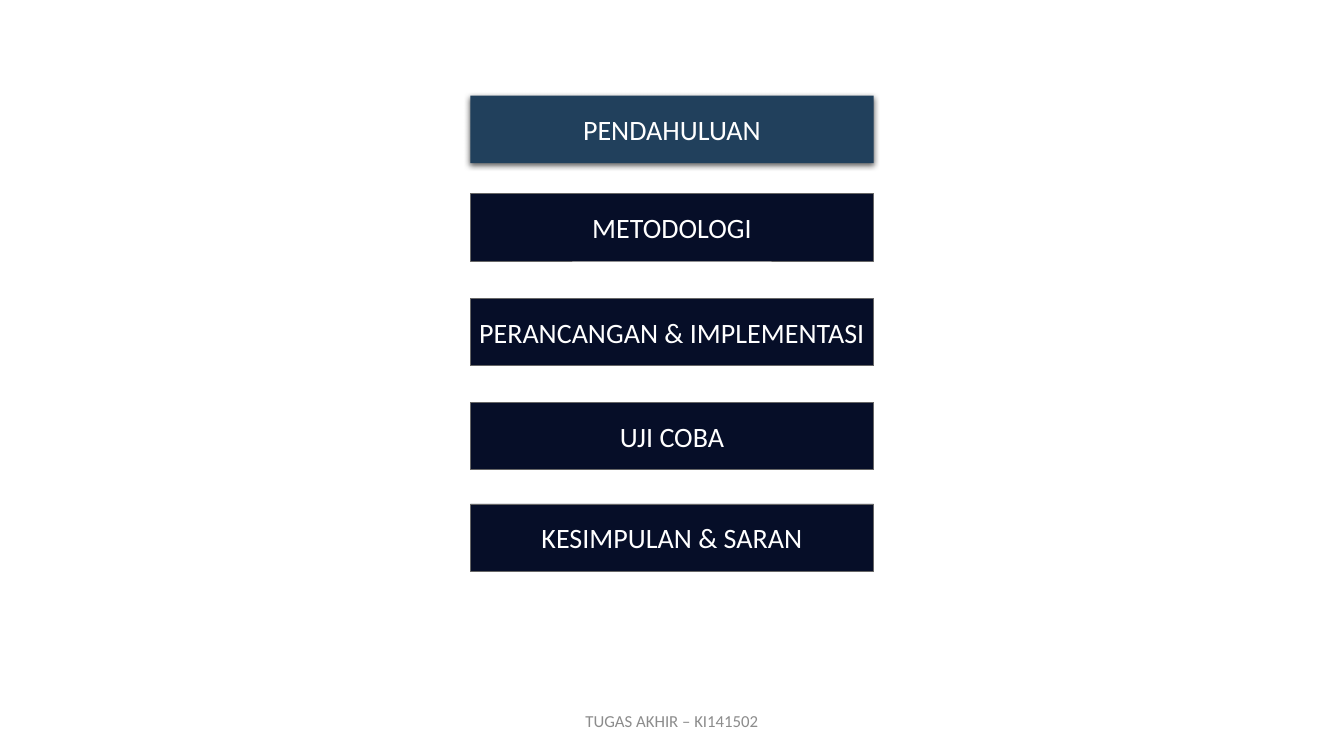
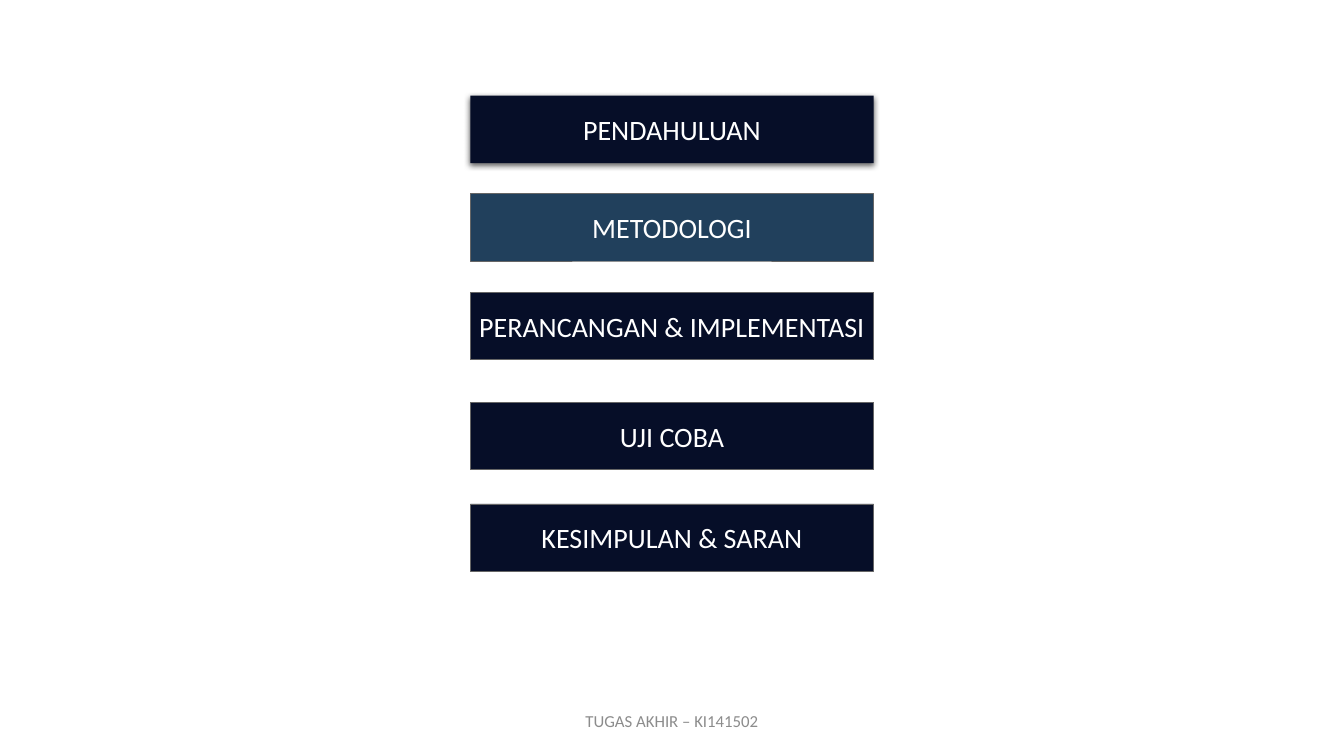
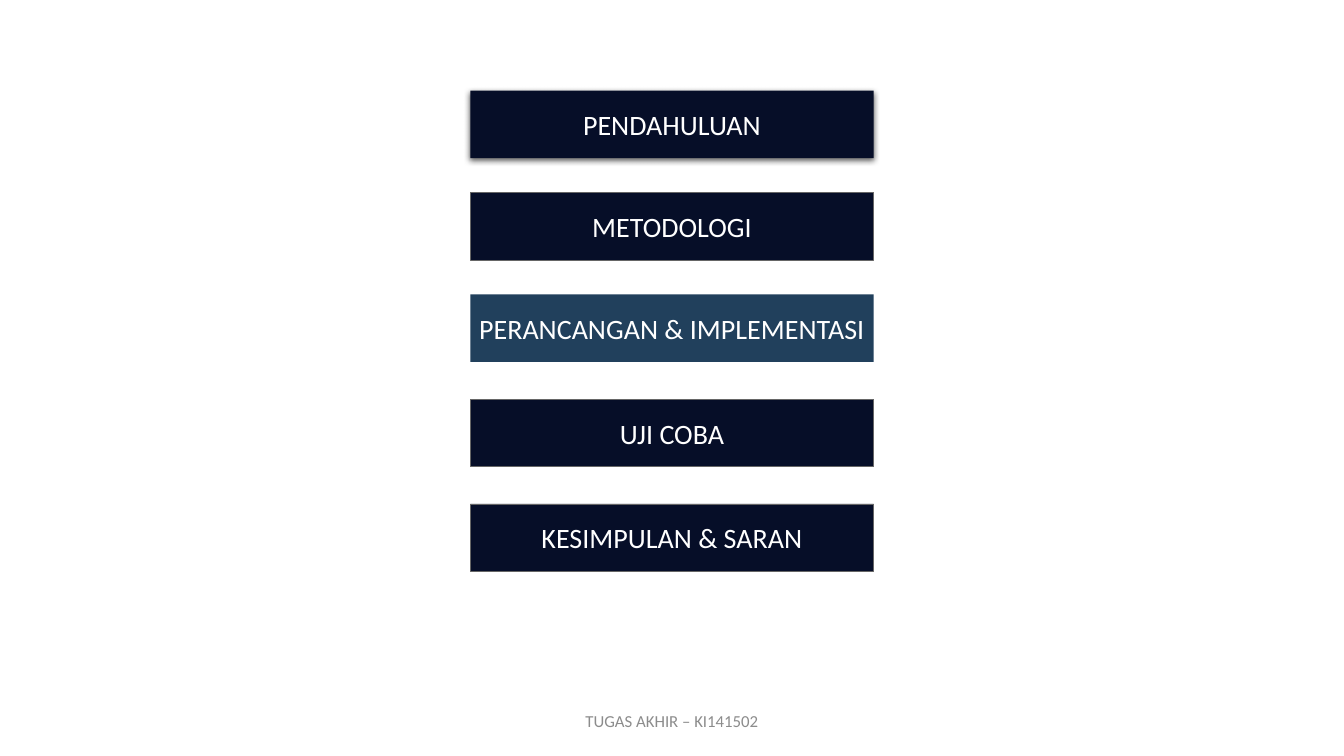
from lxml.etree import SubElement
from pptx import Presentation
from pptx.dml.color import RGBColor
from pptx.enum.shapes import MSO_SHAPE
from pptx.enum.text import MSO_ANCHOR, PP_ALIGN
from pptx.oxml.ns import qn
from pptx.util import Inches, Pt

COLORS = {
    "active": "21405C",
    "idle": "060E28",
    "outline": "666666",
    "label": "FFFFFF",
    "footer": "8C8C8C",
    "shadow": "000000",
}
FONT = "Calibri"
PAGE_WIDTH, PAGE_HEIGHT = 13.33, 7.5
BUTTON_WIDTH, BUTTON_HEIGHT = 4, 0.67
FOOTER_WIDTH, FOOTER_HEIGHT, FOOTER_TOP = 4.5, 0.4, 6.95
FOOTER_TEXT = "TUGAS AKHIR – KI141502"
CHAPTERS = [
    "PENDAHULUAN",
    "METODOLOGI",
    "PERANCANGAN & IMPLEMENTASI",
    "UJI COBA",
    "KESIMPULAN & SARAN",
]
AGENDAS = [
    {"active": 0, "tops": [0.95, 1.92, 2.96, 3.99, 5], "plain": {0}},
    {"active": 1, "tops": [0.95, 1.92, 2.9, 3.99, 5], "plain": {0}},
    {"active": 2, "tops": [0.9, 1.91, 2.92, 3.96, 5], "plain": {0, 2}},
]


def color(name):
    """Return the named palette colour."""
    return RGBColor.from_string(COLORS[name])


def centered_box(width, height, top):
    """Return a box in the horizontal middle of the page."""
    return [Inches(n) for n in ((PAGE_WIDTH - width) / 2, top, width, height)]


def write_centered(shape, text, size, color_name, wrap):
    """Write one centred line of text in the middle of a shape."""
    frame = shape.text_frame
    frame.word_wrap = wrap
    frame.vertical_anchor = MSO_ANCHOR.MIDDLE
    para = frame.paragraphs[0]
    para.alignment = PP_ALIGN.CENTER
    span = para.add_run()
    span.text = text
    span.font.name = FONT
    span.font.size = Pt(size)
    span.font.color.rgb = color(color_name)


def add_soft_shadow(shape):
    """Give a shape a soft shadow falling straight down."""
    effects = shape.element.spPr.find(qn("a:effectLst"))
    shadow = SubElement(
        effects, qn("a:outerShdw"), blurRad=str(Pt(4.5)), dist=str(Pt(1.5)),
        dir="5400000", algn="ctr", rotWithShape="0",
    )
    tint = SubElement(shadow, qn("a:srgbClr"), val=COLORS["shadow"])
    SubElement(tint, qn("a:alpha"), val="63000")


def add_button(page, box, text, fill, outlined, raised):
    """Draw one chapter button."""
    button = page.shapes.add_shape(MSO_SHAPE.RECTANGLE, *box)
    button.shadow.inherit = False
    button.fill.solid()
    button.fill.fore_color.rgb = color(fill)
    if outlined:
        button.line.color.rgb = color("outline")
        button.line.width = Pt(0.5)
    else:
        button.line.fill.background()
    if raised:
        add_soft_shadow(button)
    write_centered(button, text, 20, "label", wrap=False)


def add_footer(page, box):
    """Write the footer shared by all pages."""
    write_centered(page.shapes.add_textbox(*box), FOOTER_TEXT, 12, "footer", wrap=True)


def add_agenda(deck, active, tops, plain):
    """Add an agenda page with the active chapter highlighted."""
    page = deck.slides.add_slide(deck.slide_layouts.get_by_name("Blank"))
    add_footer(page, centered_box(FOOTER_WIDTH, FOOTER_HEIGHT, FOOTER_TOP))
    for index, (chapter, top) in enumerate(zip(CHAPTERS, tops)):
        add_button(
            page,
            centered_box(BUTTON_WIDTH, BUTTON_HEIGHT, top),
            chapter,
            fill="active" if index == active else "idle",
            outlined=index not in plain,
            raised=index == 0,
        )


def main():
    """Build and save the deck."""
    deck = Presentation()
    deck.slide_width = Inches(PAGE_WIDTH)
    deck.slide_height = Inches(PAGE_HEIGHT)
    for agenda in AGENDAS:
        add_agenda(deck, **agenda)
    deck.save("out.pptx")


if __name__ == "__main__":
    main()
